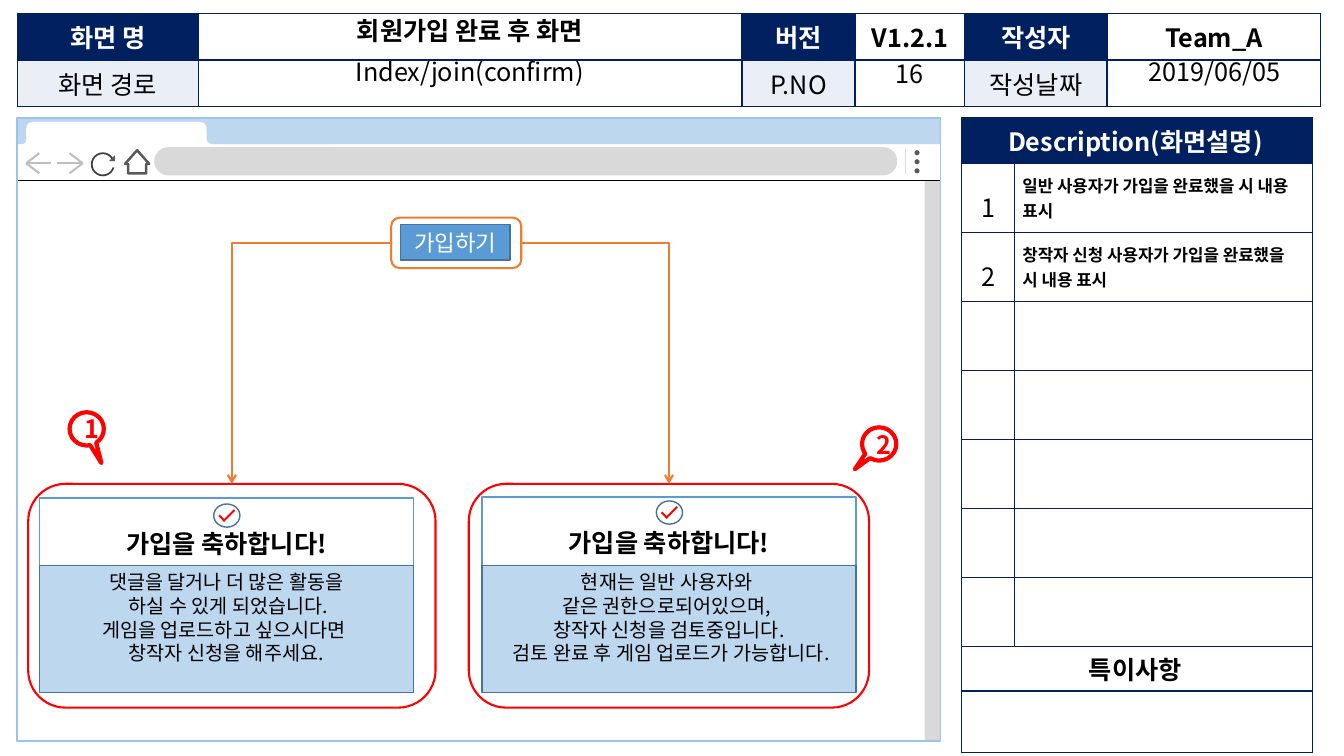
from lxml.etree import SubElement
from pptx import Presentation
from pptx.dml.color import RGBColor
from pptx.enum.shapes import MSO_CONNECTOR as Link, MSO_SHAPE as Kind
from pptx.enum.text import MSO_ANCHOR as Anchor, MSO_AUTO_SIZE as AutoSize, PP_ALIGN as Align
from pptx.oxml import parse_xml
from pptx.oxml.ns import nsdecls, qn
from pptx.util import Inches, Pt

FONT = "Noto Sans CJK KR"
NAVY = RGBColor(0x00, 0x20, 0x60)
PALE = RGBColor(0xEA, 0xEF, 0xF7)
SKY = RGBColor(0xBD, 0xD7, 0xEE)
FRAME = RGBColor(0x9D, 0xC3, 0xE6)
BLUE = RGBColor(0x5B, 0x9B, 0xD5)
STEEL = RGBColor(0x43, 0x73, 0x9E)
ORANGE = RGBColor(0xED, 0x7D, 0x31)
RED = RGBColor(0xFF, 0x00, 0x00)
WHITE = RGBColor(0xFF, 0xFF, 0xFF)
BLACK = RGBColor(0x00, 0x00, 0x00)
SILVER = RGBColor(0xD9, 0xD9, 0xD9)
ARROW = RGBColor(0xBF, 0xBF, 0xBF)
GRAY = RGBColor(0x59, 0x59, 0x59)
DARK = RGBColor(0x40, 0x40, 0x40)

presentation = Presentation()
presentation.slide_width = Inches(13.33)
presentation.slide_height = Inches(7.5)
COLUMN = presentation.slide_width // 1333
ROW = presentation.slide_height // 750
slide = presentation.slides.add_slide(presentation.slide_layouts[3])


def box(kind, at, fill=None, line=None, width=1, adjust=(), turn=0):
    left, top, wide, high = at
    shape = slide.shapes.add_shape(
        kind, int(left * COLUMN), int(top * ROW), int(wide * COLUMN), int(high * ROW))
    shape.shadow.inherit = False
    shape.rotation = turn
    for index, value in enumerate(adjust):
        shape.adjustments[index] = value
    if fill is None:
        shape.fill.background()
    else:
        shape.fill.solid()
        shape.fill.fore_color.rgb = fill
    if line is None:
        shape.line.fill.background()
    else:
        shape.line.color.rgb = line
        shape.line.width = Pt(width)
    return shape


def write(frame, lines, size=18, color=BLACK, bold=False, align=Align.CENTER, spacing=1.0):
    for index, line in enumerate(lines):
        paragraph = frame.add_paragraph() if index else frame.paragraphs[0]
        layout = {"alignment": align, "line_spacing": spacing, "space_before": Pt(0)}
        for name, value in layout.items():
            setattr(paragraph, name, value)
        run = paragraph.add_run()
        run.text = line
        for name, value in {"name": FONT, "size": Pt(size), "bold": bold}.items():
            setattr(run.font, name, value)
        run.font.color.rgb = color
        SubElement(run.font._element, qn("a:ea"), typeface=FONT)


browser_parts = [
    (Kind.RECTANGLE, (17, 178, 916, 557), WHITE, BLACK, 0.5),
    (Kind.RECTANGLE, (917, 179, 16, 555), SILVER),
    (Kind.RECTANGLE, (17, 142, 916, 37), WHITE, BLACK, 0.5),
    (Kind.ROUNDED_RECTANGLE, (153, 146, 737, 28), SILVER, None, 0, [0.5]),
    *[(Kind.OVAL, (907, 149 + 9 * dot, 5, 5), GRAY) for dot in range(3)],
    (Kind.RECTANGLE, (17, 117, 916, 26), SKY),
    (Kind.OVAL, (91, 152, 22, 22), None, DARK, 1.25),
    (Kind.RECTANGLE, (109, 158, 8, 8), WHITE),
    (Kind.ISOSCELES_TRIANGLE, (108, 154, 6, 6), GRAY, None, 0, [1]),
    (Kind.DOWN_ARROW, (124, 149, 24, 23), WHITE, GRAY, 1.75, [0.75, 0.59], 180),
    (Kind.ROUNDED_RECTANGLE, (26, 121, 179, 23), WHITE, None, 0, [0.28]),
    (Kind.ROUNDED_RECTANGLE, (188, 130, 34, 15), WHITE, None, 0, [0.17]),
    (Kind.ROUNDED_RECTANGLE, (205, 123, 127, 20), SKY, None, 0, [0.28]),
    (Kind.ROUNDED_RECTANGLE, (21, 130, 13, 15), WHITE, None, 0, [0.17]),
    (Kind.ROUNDED_RECTANGLE, (17, 123, 9, 20), SKY, None, 0, [0.46]),
    (Kind.RECTANGLE, (17, 117, 916, 618), None, FRAME, 1),
]
for part in browser_parts:
    box(*part)

browser_lines = [(898, 148, 898, 173, SILVER, 1)]
for tip, direction in ((26, 1), (82, -1)):
    for reach, rise in ((25, 0), (13, -10), (13, 10)):
        browser_lines.append((tip, 162, tip + direction * reach, 162 + rise, ARROW, 1.5))
for x1, y1, x2, y2, color, width in browser_lines:
    connector = slide.shapes.add_connector(
        Link.STRAIGHT, x1 * COLUMN, y1 * ROW, x2 * COLUMN, y2 * ROW)
    connector.line.color.rgb = color
    connector.line.width = Pt(width)
    SubElement(connector._element.spPr, qn("a:effectLst"))

header_labels = [["화면 명", "", "버전", "V1.2.1", "작성자", "Team_A"],
                 ["화면 경로", "", "P.NO", "", "작성날짜", ""]]
descriptions = ["일반 사용자가 가입을 완료했을 시 내용 표시",
                "창작자 신청 사용자가 가입을 완료했을 시 내용 표시"]
table_grids = [
    ((17, 13), [180, 539, 112, 109, 141, 212], [46.5] * 2),
    ((954, 117), [52, 296], [45] + [68.5] * 7 + [44, 61]),
]
tables = []
for (left, top), widths, heights in table_grids:
    table = slide.shapes.add_table(
        len(heights), len(widths), left * COLUMN, top * ROW,
        sum(widths) * COLUMN, int(sum(heights) * ROW)).table
    for column, width in zip(table.columns, widths):
        column.width = width * COLUMN
    for row, height in zip(table.rows, heights):
        row.height = int(height * ROW)
    for cell in table.iter_cells():
        cell.fill.solid()
        cell.fill.fore_color.rgb = WHITE
        for index, side in enumerate(("lnL", "lnR", "lnT", "lnB")):
            cell._tc.get_or_add_tcPr().insert(index, parse_xml(
                f'<a:{side} {nsdecls("a")} w="12700"><a:solidFill>'
                f'<a:srgbClr val="{NAVY}"/></a:solidFill></a:{side}>'))
    tables.append(table)
header, description = tables

for row, labels in enumerate(header_labels):
    for column, label in enumerate(labels):
        cell = header.cell(row, column)
        is_label = column % 2 == 0
        if is_label:
            cell.fill.fore_color.rgb = PALE if row else NAVY
        if label:
            color = WHITE if is_label and row == 0 else BLACK
            write(cell.text_frame, [label], color=color, bold=row == 0)

for cell in description.iter_cells():
    margins = {"margin_left": 8 * COLUMN, "margin_right": 12 * COLUMN,
               "margin_top": 4 * ROW, "margin_bottom": 4 * ROW}
    for name, value in margins.items():
        setattr(cell, name, value)
for row in (0, 8, 9):
    description.cell(row, 0).merge(description.cell(row, 1))
description.cell(0, 0).fill.fore_color.rgb = NAVY
write(description.cell(0, 0).text_frame, ["Description(화면설명)"], color=WHITE, bold=True)
write(description.cell(8, 0).text_frame, ["특이사항"], bold=True)
for number, text in enumerate(descriptions, 1):
    number_cell, text_cell = description.cell(number, 0), description.cell(number, 1)
    number_cell.vertical_anchor = text_cell.vertical_anchor = Anchor.MIDDLE
    number_cell.margin_right = number_cell.margin_left
    write(number_cell.text_frame, [str(number)], spacing=1.5)
    write(text_cell.text_frame, [text], 12, bold=True, align=Align.LEFT)

page_number = slide.shapes.add_textbox(848 * COLUMN, 54 * ROW, 108 * COLUMN, 38 * ROW)
page_number.text_frame.word_wrap = True
page_number.text_frame.vertical_anchor = Anchor.MIDDLE
write(page_number.text_frame, ["16"])

header_values = [(197, 14, 538, "회원가입 완료 후 화면", True),
                 (197, 54, 538, "Index/join(confirm)", False),
                 (1099, 54, 211, "2019/06/05", False)]
for placeholder, (left, top, width, text, bold) in zip(list(slide.placeholders), header_values):
    place = {"left": left * COLUMN, "top": top * ROW, "width": width * COLUMN, "height": 38 * ROW}
    for name, value in place.items():
        setattr(placeholder, name, value)
    frame = placeholder.text_frame
    for name, value in {"auto_size": AutoSize.NONE, "vertical_anchor": Anchor.TOP}.items():
        setattr(frame, name, value)
    write(frame, [text], bold=bold, spacing=0.9)
    properties = frame.paragraphs[0]._p.get_or_add_pPr()
    properties.set("marL", "0")
    properties.set("indent", "0")
    SubElement(properties, qn("a:buNone"))
    page_number._element.addnext(placeholder._element)

join_outline = box(Kind.ROUNDED_RECTANGLE, (388, 216, 129, 50), None, ORANGE, 1.5)
join_button = box(Kind.RECTANGLE, (397, 223, 109, 35), BLUE, STEEL)
join_button.text_frame.vertical_anchor = Anchor.MIDDLE
write(join_button.text_frame, ["가입하기"], 16, WHITE)

cards = [
    ((28, 404), (39, 494), (212, 500), (69, 409), (0.43, 1.03), 1,
     ["댓글을 달거나 더 많은 활동을", " 하실 수 있게 되었습니다.",
      "게임을 업로드하고 싶으시다면 ", "창작자 신청을 해주세요."]),
    ((465, 397), (478, 493), (651, 497), (855, 424), (-0.71, 0.76), 3,
     ["현재는 일반 사용자와 ", "같은 권한으로되어있으며, ",
      "창작자 신청을 검토중입니다.", " 검토 완료 후 게임 업로드가 가능합니다."]),
]
for number, card in enumerate(cards, 1):
    (left, width), (x, y), (check_x, check_y), callout_at, pointer, side, message = card
    outline = box(Kind.ROUNDED_RECTANGLE, (left, 480, width, 222), None, RED, 1.5)
    heading = box(Kind.RECTANGLE, (x, y, 371, 179), WHITE, BLUE)
    heading.text_frame.vertical_anchor = Anchor.TOP
    heading.text_frame.margin_top = 30 * ROW
    write(heading.text_frame, ["가입을 축하합니다!"], bold=True)
    body = box(Kind.RECTANGLE, (x, 561, 371, 126), SKY, STEEL)
    body.text_frame.vertical_anchor = Anchor.TOP
    write(body.text_frame, message, 14)

    box(Kind.OVAL, (check_x, check_y, 26, 23), WHITE, STEEL)
    box(Kind.RECTANGLE, (check_x + 4, check_y + 13, 8, 2), RED, turn=225)
    box(Kind.RECTANGLE, (check_x + 7, check_y + 10.5, 16, 2), RED, turn=135)

    callout = box(Kind.OVAL_CALLOUT, (*callout_at, 34, 33), None, RED, 3, pointer)
    callout.text_frame.vertical_anchor = Anchor.MIDDLE
    write(callout.text_frame, [str(number)], color=RED, bold=True)

    connector = slide.shapes.add_connector(Link.ELBOW, 0, 0, 0, 0)
    connector.begin_connect(join_outline, side)
    connector.end_connect(outline, 0)
    connector.line.color.rgb = ORANGE
    connector.line.width = Pt(1.5)
    properties = connector._element.spPr
    properties.find(qn("a:prstGeom")).set("prst", "bentConnector2")
    SubElement(properties.find(qn("a:ln")), qn("a:tailEnd"), type="arrow")
    SubElement(properties, qn("a:effectLst"))

presentation.save("out.pptx")
